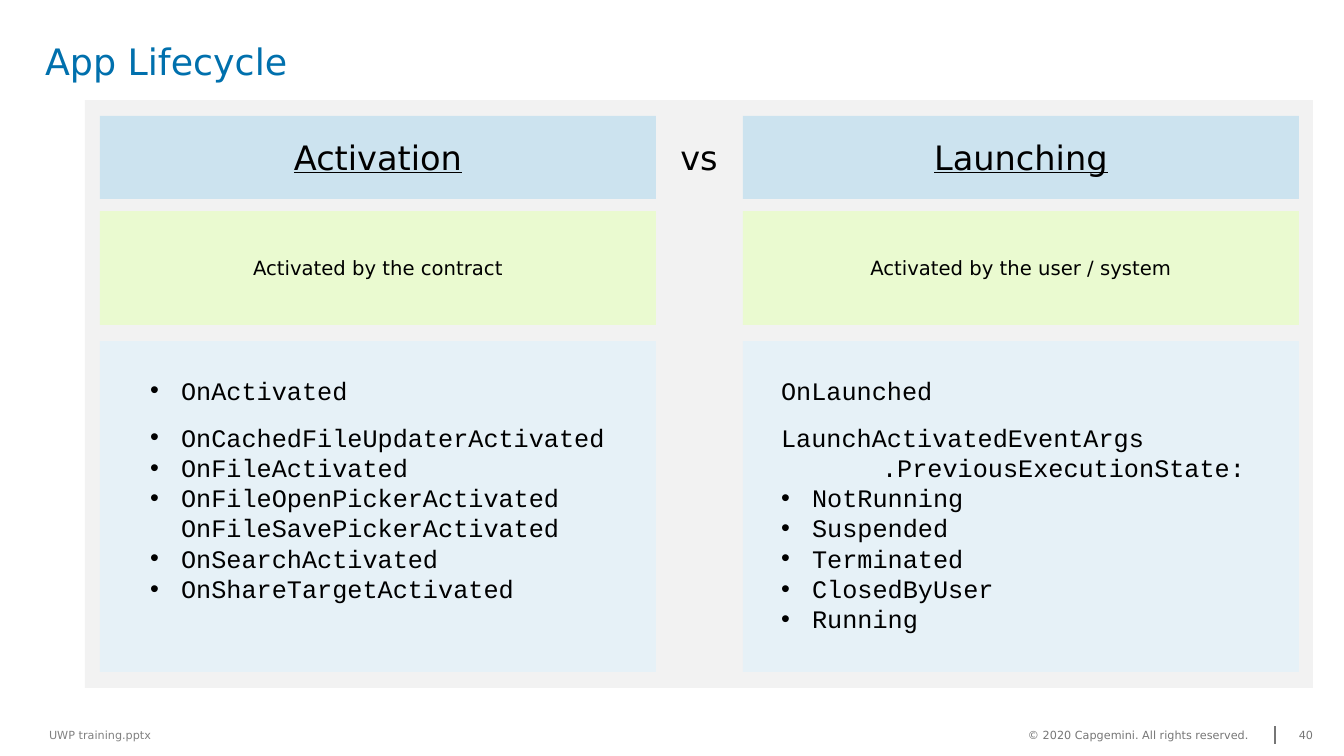
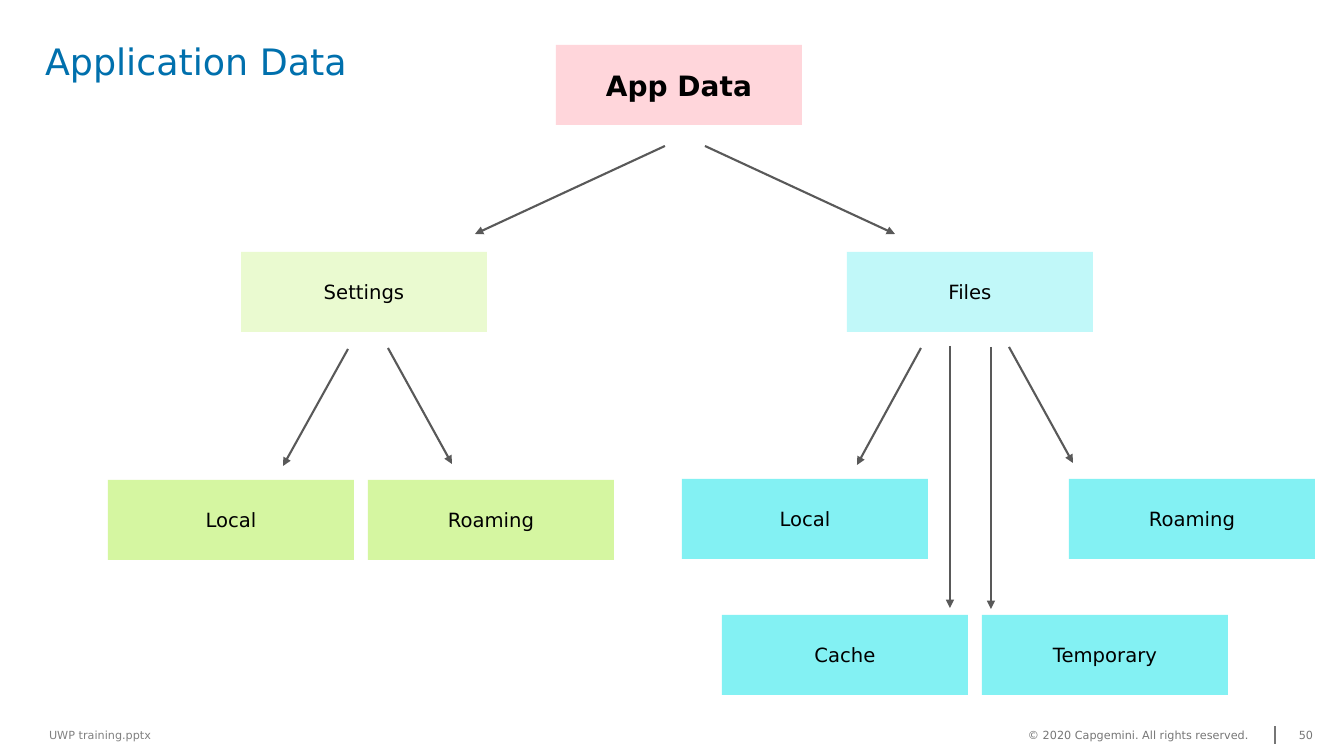
from lxml import etree
from pptx import Presentation
from pptx.dml.color import RGBColor
from pptx.enum.shapes import MSO_CONNECTOR, MSO_SHAPE
from pptx.enum.text import MSO_ANCHOR as ANCHOR, MSO_AUTO_SIZE, PP_ALIGN as ALIGN
from pptx.oxml.ns import qn
from pptx.util import Emu, Pt

COLORS = {
    "title": "0070AD", "text": "000000", "file": "808080", "footer": "767676",
    "frame": "F2F2F2", "heading": "CCE3EF", "list": "E6F1F7", "arrow": "595959",
    "root": "FFD6DB", "green": "EAFAD0", "lime": "D5F6A1",
    "aqua": "C1F8F9", "cyan": "83F1F3",
}
SANS, MONO = "DejaVu Sans", "Courier New"
TWO_LISTS, TITLE_ONLY = 3, 5
HANGING = 31


def px(length):
    return Emu(round(length * 914400 / 100.8))


def rgb(name):
    return RGBColor.from_string(COLORS[name])


class Deck:
    def __init__(self):
        self.deck = Presentation()
        self.deck.slide_width, self.deck.slide_height = px(1344), px(756)
        self.page = None

    def style(self, para, size, color="text", font=SANS, bold=False, underline=False):
        for run in para.runs:
            run.font.name, run.font.size = font, Pt(size)
            run.font.bold, run.font.underline = bold, underline
            run.font.color.rgb = rgb(color)

    def place(self, shape, x, y, width, height):
        shape.left, shape.top = px(x), px(y)
        shape.width, shape.height = px(width), px(height)

    def margins(self, frame, size):
        frame.margin_left = frame.margin_right = px(size)
        frame.margin_top = frame.margin_bottom = px(size)

    def start_page(self, layout, title, number):
        self.page = self.deck.slides.add_slide(self.deck.slide_layouts[layout])
        holder = self.page.shapes.title
        self.place(holder, 45, 44, 1215, 95)
        frame = holder.text_frame
        frame.text = title
        frame.vertical_anchor = ANCHOR.TOP
        frame.auto_size = MSO_AUTO_SIZE.NONE
        self.margins(frame, 0)
        para = frame.paragraphs[0]
        para.alignment, para.line_spacing = ALIGN.LEFT, 0.9
        self.style(para, 26, "title")
        self.label("UWP training.pptx", 45, 723, 338, 24, 8, "file", margin=4)
        self.label("© 2020 Capgemini. All rights reserved.", 1028, 723, 245, 24, 8, "footer")
        self.label(number, 1293, 723, 26, 24, 8, "footer", ALIGN.CENTER)
        self.line((1275, 744), (1275, 726), "footer", 1)

    def label(self, text, x, y, width, height, size, color="text",
              align=ALIGN.LEFT, margin=0):
        box = self.page.shapes.add_textbox(px(x), px(y), px(width), px(height))
        frame = box.text_frame
        frame.text = text
        frame.word_wrap = True
        frame.vertical_anchor = ANCHOR.MIDDLE
        self.margins(frame, margin)
        frame.paragraphs[0].alignment = align
        self.style(frame.paragraphs[0], size, color)

    def box(self, x, y, width, height, fill, text="", size=14, **emphasis):
        box = self.page.shapes.add_shape(
            MSO_SHAPE.RECTANGLE, px(x), px(y), px(width), px(height))
        box.shadow.inherit = False
        box.fill.solid()
        box.fill.fore_color.rgb = rgb(fill)
        box.line.fill.background()
        if text:
            frame = box.text_frame
            frame.text = text
            frame.word_wrap = True
            frame.vertical_anchor = ANCHOR.MIDDLE
            frame.paragraphs[0].alignment = ALIGN.CENTER
            self.style(frame.paragraphs[0], size, **emphasis)

    def line(self, start, end, color, width):
        line = self.page.shapes.add_connector(
            MSO_CONNECTOR.STRAIGHT, *map(px, start + end))
        line.line.color.rgb = rgb(color)
        line.line.width = Pt(width)
        etree.SubElement(line.element.spPr, qn("a:effectLst"))
        return line

    def arrow(self, start, end):
        line = self.line(start, end, "arrow", 1.5)
        outline = line.element.spPr.find(qn("a:ln"))
        etree.SubElement(outline, qn("a:tailEnd"), type="triangle")

    def code_list(self, index, x, y, width, height, items):
        """Fill a body placeholder with (text, left indent, bulleted) items."""
        holder = self.page.placeholders[index]
        holder.element.getparent().append(holder.element)  # in front of the panels
        self.place(holder, x, y, width, height)
        frame = holder.text_frame
        frame.text = "\n".join(text for text, _, _ in items)
        frame.word_wrap = True
        frame.vertical_anchor = ANCHOR.TOP
        frame.auto_size = MSO_AUTO_SIZE.NONE
        for para, (_, indent, bulleted) in zip(frame.paragraphs, items):
            props = para._p.get_or_add_pPr()
            props.set("marL", str(px(indent)))
            props.set("indent", str(px(-HANGING if bulleted else 0)))
            if bulleted:
                etree.SubElement(props, qn("a:buFont"), typeface="Arial")
                etree.SubElement(props, qn("a:buChar"), char="•")
            else:
                etree.SubElement(props, qn("a:buNone"))
            para.space_before = para.space_after = Pt(0)
            self.style(para, 18, font=MONO)
        frame.paragraphs[0].space_after = Pt(12)


def bullets(*texts):
    return [(text, HANGING, True) for text in texts]


def lifecycle_page(deck):
    deck.start_page(TWO_LISTS, "App Lifecycle", "40")
    deck.box(85, 100, 1228, 588, "frame")
    columns = [
        (100, "Activation", "Activated by the contract"),
        (743, "Launching", "Activated by the user / system"),
    ]
    for x, heading, trigger in columns:
        deck.box(x, 116, 556, 83, "heading", heading, 24, underline=True)
        deck.box(x, 211, 556, 114, "green", trigger)
        deck.box(x, 341, 556, 331, "list")
    deck.label("vs", 670, 132, 58, 51, 24, align=ALIGN.CENTER)
    deck.code_list(1, 140, 370, 504, 241, bullets(
        "OnActivated", "OnCachedFileUpdaterActivated", "OnFileActivated",
        "OnFileOpenPickerActivated OnFileSavePickerActivated",
        "OnSearchActivated", "OnShareTargetActivated"))
    deck.code_list(2, 771, 370, 508, 271, [
        ("OnLaunched", 0, False),
        ("LaunchActivatedEventArgs", 0, False),
        (".PreviousExecutionState:", 101, False),
        *bullets("NotRunning", "Suspended", "Terminated", "ClosedByUser", "Running")])


def data_page(deck):
    deck.start_page(TITLE_ONLY, "Application Data", "50")
    deck.box(556, 45, 246, 80, "root", "App Data", 20, bold=True)
    nodes = [
        (241, 252, "green", "Settings"), (847, 252, "aqua", "Files"),
        (108, 480, "lime", "Local"), (368, 480, "lime", "Roaming"),
        (682, 479, "cyan", "Local"), (1069, 479, "cyan", "Roaming"),
        (722, 615, "cyan", "Cache"), (982, 615, "cyan", "Temporary"),
    ]
    for x, y, fill, text in nodes:
        deck.box(x, y, 246, 80, fill, text)
    arrows = [
        ((665, 146), (475, 234)), ((705, 146), (895, 234)),
        ((348, 349), (283, 466)), ((388, 348), (452, 464)),
        ((921, 348), (857, 465)), ((1009, 347), (1073, 463)),
        ((950, 346), (950, 608)), ((991, 347), (991, 609)),
    ]
    for start, end in arrows:
        deck.arrow(start, end)


def main():
    deck = Deck()
    lifecycle_page(deck)
    data_page(deck)
    deck.deck.save("out.pptx")


if __name__ == "__main__":
    main()
